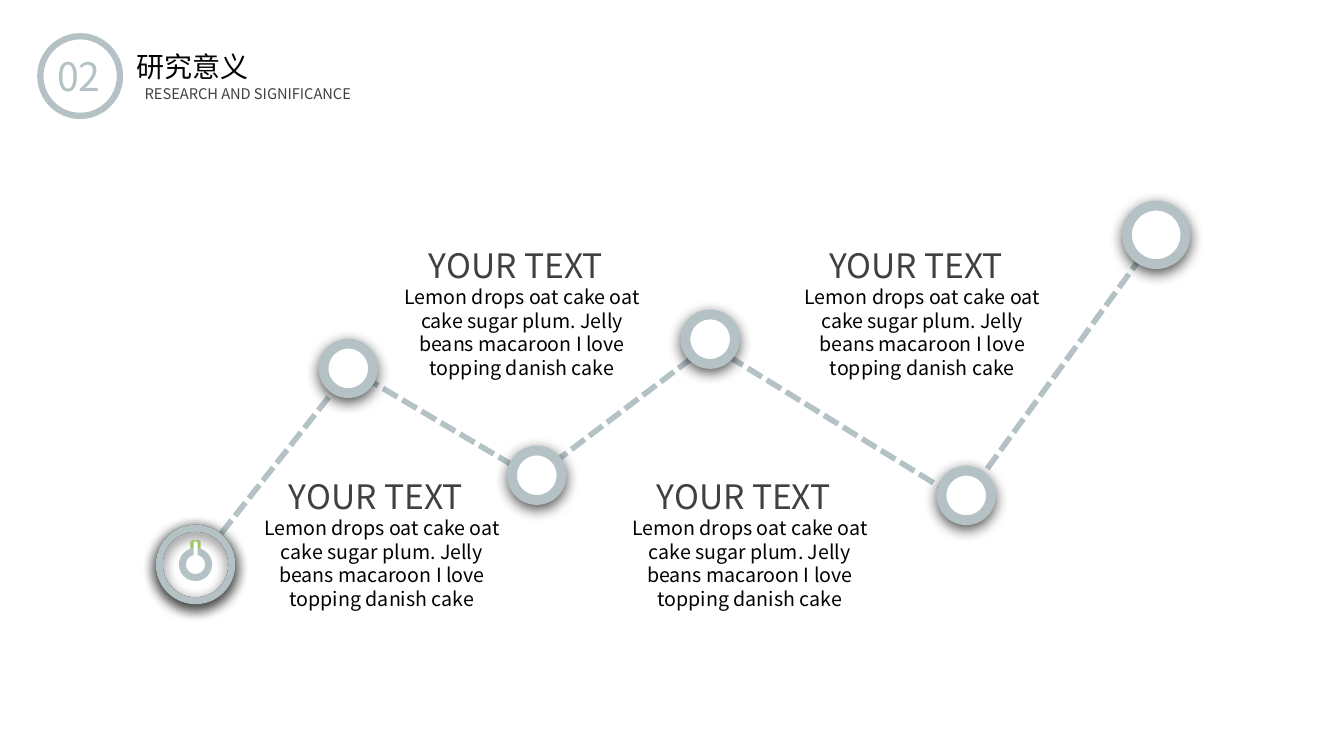
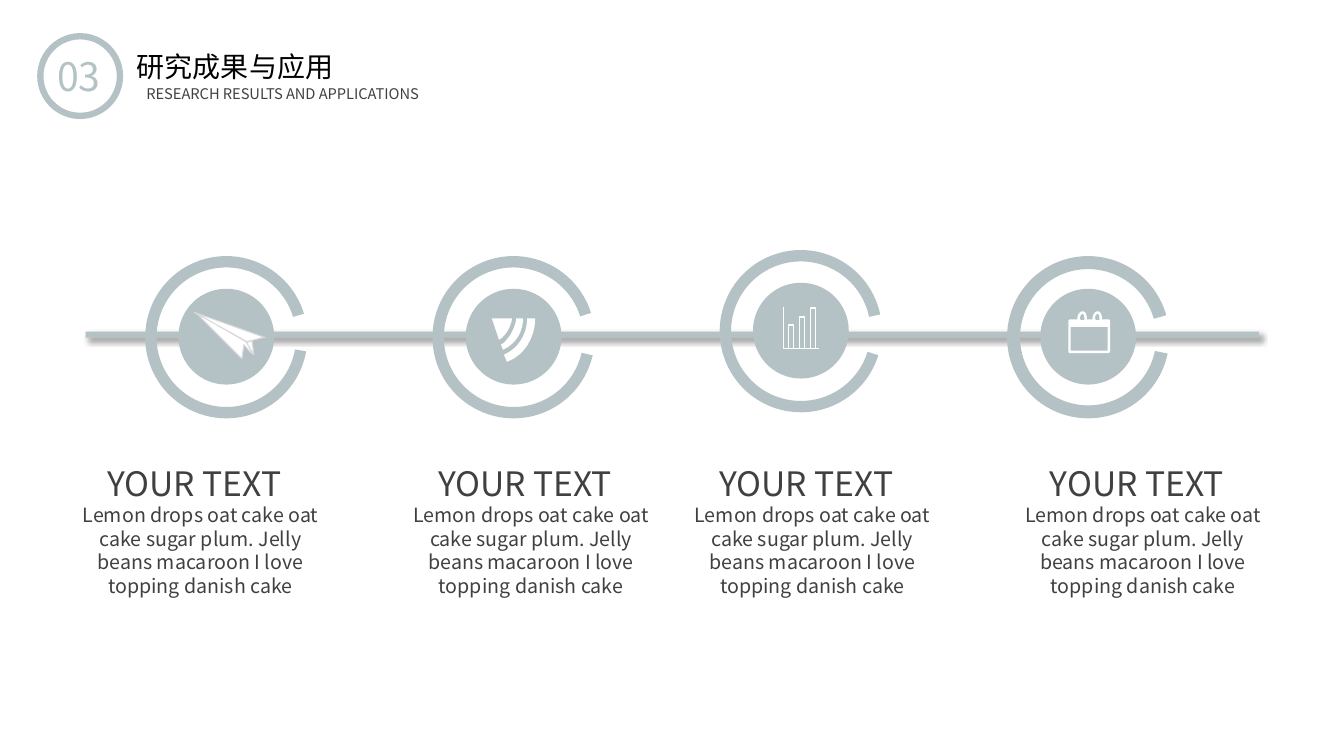
from lxml.etree import SubElement as Sub
from pptx import Presentation
from pptx.dml.color import RGBColor
from pptx.enum.dml import MSO_LINE as Dash
from pptx.enum.shapes import MSO_CONNECTOR as Link, MSO_SHAPE as Form
from pptx.enum.text import MSO_AUTO_SIZE as Fit, PP_ALIGN as Align
from pptx.oxml.ns import qn
from pptx.util import Inches, Pt

FONT = "Noto Sans CJK SC"
MIST, WHITE, BLACK, GREY = "B4C2C5", "FFFFFF", "000000", "404040"
BROWN, GREEN, PALE = "432E24", "9CC76D", "D9D9D9"
GLOW = (67, 10, 3, 90)
SOFT = (40, 4, 3, 45)
HEAD = "YOUR TEXT"
BODY = ("Lemon drops oat cake oat cake sugar plum. Jelly "
        "beans macaroon I love topping danish cake")


def cell(count):
    return int(Inches(0.1) * count)


def hue(code):
    return RGBColor.from_string(code)


def bend(start, one, two, end, steps=8):
    marks = []
    for step in range(1, steps + 1):
        t = step / steps
        u = 1 - t
        marks.append(tuple(u**3 * a + 3 * u * u * t * b + 3 * u * t * t * c + t**3 * d
                           for a, b, c, d in zip(start, one, two, end)))
    return marks


class Deck:
    def __init__(self):
        self.file = Presentation()
        self.file.slide_width = cell(133.33)
        self.file.slide_height = cell(75)

    def page(self, number, title, label, width):
        self.slide = self.file.slides.add_slide(self.file.slide_layouts[6])
        self.shapes = self.slide.shapes
        self.shape(Form.OVAL, 4, 3.6, 7.9, 7.9, line=(MIST, 4.5))
        self.text(4.7, 4.7, 6.6, 5.7, number, 28, MIST, wrap=False)
        self.text(12.6, 4.4, 38.3, 4.4, title, 20, BLACK)
        self.text(12.6, 7.9, width, 2.8, label, 10.5, GREY, Align.CENTER, wrap=False)

    def paint(self, item, fill=None, line=None, shade=None):
        item.shadow.inherit = False
        if fill:
            item.fill.solid()
            item.fill.fore_color.rgb = hue(fill)
        else:
            item.fill.background()
        if line:
            item.line.color.rgb = hue(line[0])
            item.line.width = Pt(line[1])
        else:
            item.line.fill.background()
        if shade:
            alpha, blur, far, angle = shade
            effect = item._element.spPr.find(qn("a:effectLst"))
            drop = Sub(effect, qn("a:outerShdw"), blurRad=str(Pt(blur)), dist=str(Pt(far)),
                       dir=str(angle * 60000), algn="ctr", rotWithShape="0")
            tint = Sub(drop, qn("a:srgbClr"), val=BLACK)
            Sub(tint, qn("a:alpha"), val=str(alpha * 1000))

    def shape(self, form, x, y, w, h, fill=None, line=None, shade=None, turn=0, bends=()):
        item = self.shapes.add_shape(form, cell(x), cell(y), cell(w), cell(h))
        item.rotation = turn
        for place, value in enumerate(bends):
            item.adjustments[place] = value
        self.paint(item, fill, line, shade)

    def trace(self, loops, fill=None, line=None):
        pen = None
        for loop in loops:
            first, *rest = [(cell(x), cell(y)) for x, y in loop]
            if pen:
                pen.move_to(*first)
            else:
                pen = self.shapes.build_freeform(*first)
            pen.add_line_segments(rest, close=True)
        self.paint(pen.convert_to_shape(), fill, line)

    def dash(self, *ends):
        item = self.shapes.add_connector(Link.STRAIGHT, *map(cell, ends))
        item.line.color.rgb = hue(MIST)
        item.line.width = Pt(4)
        item.line.dash_style = Dash.SQUARE_DOT
        Sub(item._element.spPr, qn("a:effectLst"))

    def text(self, x, y, w, h, words, size, color, align=Align.LEFT,
             wrap=True, grow=True, pad=(1, 0.5)):
        box = self.shapes.add_textbox(cell(x), cell(y), cell(w), cell(h))
        frame = box.text_frame
        frame.text = words
        frame.word_wrap = wrap
        frame.auto_size = Fit.SHAPE_TO_FIT_TEXT if grow else Fit.NONE
        frame.margin_left = frame.margin_right = cell(pad[0])
        frame.margin_top = frame.margin_bottom = cell(pad[1])
        lead = frame.paragraphs[0]
        lead.alignment = align
        for run in lead.runs:
            run.font.size = Pt(size)
            run.font.color.rgb = hue(color)
            run.font.name = FONT
            Sub(run._r.get_or_add_rPr(), qn("a:ea"), typeface=FONT)

    def note(self, x, y, color):
        self.text(x + 1.3, y, 21.8, 5, HEAD, 24, GREY, pad=(1.75, 0.5))
        self.text(x, y + 4.5, 24.6, 10.7, BODY, 14, color, Align.CENTER,
                  grow=False, pad=(0, 0))

    def node(self, x, y, size):
        self.shape(Form.OVAL, x, y, size, size, WHITE, (MIST, 7), GLOW)

    def power(self):
        for fill, color in ((WHITE, BROWN), (None, MIST)):
            self.shape(Form.OVAL, 15.8, 52.4, 7.2, 7.2, fill, (color, 5), GLOW)
        self.shape(Form.OVAL, 17.7, 54.2, 3.5, 3.5, WHITE)
        self.shape(Form.ROUNDED_RECTANGLE, 18.9, 53.6, 1, 2.4, GREEN)
        self.shape(Form.OVAL, 18.1, 54.7, 2.6, 2.6, WHITE, (MIST, 5))
        self.shape(Form.ROUNDED_RECTANGLE, 19.2, 53.7, 0.4, 2.5, WHITE, bends=(0.5,))

    def ring(self, x, y, turn, bends):
        self.shape(Form.BLOCK_ARC, x, y, 16.1, 16.1, MIST, turn=turn, bends=bends)
        self.shape(Form.OVAL, x + 3.3, y + 3.25, 9.5, 9.5, MIST)

    def plane(self):
        self.trace([[
            (19.3, 31), (26.3, 33.5), (26.1, 33.5), (24.5, 33.9), (19.3, 31),
            (19.7, 31.2), (24.4, 33.9), (25.1, 35.1), (25.2, 35.2), (24.4, 33.9),
            (24.5, 34), (25, 33.8), (25.2, 35.2), (25.1, 35.1), (24.9, 35),
            (24.2, 34.2), (24, 35.6), (19.4, 31)]], WHITE, (PALE, 0))

    def waves(self):
        self.trace([
            [(48.8, 31.6), (50.8, 31.6), (50.8, 31.7),
             *bend((50.8, 31.7), (50.6, 32.5), (50.3, 33.1), (49.7, 33.6)), (49.5, 33.7)],
            [(52.3, 31.6), (53.1, 31.6),
             *bend((53.1, 31.6), (53.1, 33.5), (52, 35.3), (50.3, 35.9)),
             (50, 35.2), (50.2, 35.1),
             *bend((50.2, 35.1), (51.4, 34.5), (52.2, 33.3), (52.3, 31.8))],
            [(51.2, 31.6), (51.9, 31.6), (51.9, 31.8),
             *bend((51.9, 31.8), (51.8, 33.1), (51.1, 34.1), (50.1, 34.6)),
             (49.9, 34.7), (49.7, 34.2), (50, 34),
             *bend((50, 34), (50.6, 33.4), (51, 32.7), (51.2, 31.8))]], WHITE)

    def bars(self):
        self.trace([[(77.7, 34.6), (81.2, 34.6), (77.7, 34.6), (77.7, 30.5)]],
                   line=(WHITE, 1))
        for x, tall in ((78.2, 2.3), (79.3, 3.1), (80.4, 4)):
            self.shape(Form.FLOWCHART_PROCESS, x, 34.55 - tall, 0.5, tall, line=(WHITE, 1))

    def dates(self):
        edge = [(106.1, 34.9), (106.1, 31.8)]
        for x in (107, 108.5):
            edge += [(x + 0.1, 31.8), (x, 31.6),
                     *bend((x, 31.6), (x, 31.3), (x + 0.2, 31), (x + 0.4, 31)),
                     *bend((x + 0.4, 31), (x + 0.6, 31), (x + 0.7, 31.3), (x + 0.7, 31.6)),
                     (x + 0.7, 31.8)]
        self.trace([edge + [(110, 31.8), (110, 34.9)]], line=(WHITE, 1.75))
        self.shape(Form.RECTANGLE, 106.2, 31.8, 3.8, 0.6, WHITE, (WHITE, 1))


def main():
    deck = Deck()

    deck.page("02", "研究意义", "RESEARCH AND SIGNIFICANCE", 24)
    for ends in ((114.6, 23.6, 95.9, 49.3), (70.4, 34.2, 95.2, 49.5),
                 (70.4, 34.2, 53.9, 46.7), (52.8, 47.3, 34.9, 36.7),
                 (19.2, 56.4, 34.5, 37)):
        deck.dash(*ends)
    deck.node(111.8, 20.4, 5.8)
    for x, y in ((93.4, 46.7), (68, 31.2), (50.8, 44.7), (32.1, 34.1)):
        deck.node(x, y, 4.9)
    deck.power()
    for x, y in ((25.6, 46.7), (62.1, 46.7), (39.5, 23.8), (79.2, 23.8)):
        deck.note(x, y, BLACK)

    deck.page("03", "研究成果与应用", "RESEARCH RESULTS AND APPLICATIONS", 30.9)
    deck.shape(Form.RECTANGLE, 8.5, 32.9, 116.4, 0.6, MIST, shade=SOFT)
    rings = ((25.4, 225.7, (86.63, 70.46, 0.07), deck.plane),
             (25.4, 224.9, (88.81, 70.61, 0.07), deck.waves),
             (24.8, 224.7, (91.49, 74.06, 0.07), deck.bars),
             (25.4, 222.2, (89.65, 73.24, 0.08), deck.dates))
    for place, (y, turn, bends, icon) in enumerate(rings):
        deck.ring(14.4 + 28.5 * place, y, turn, bends)
        icon()
    for x in (7.6, 40.4, 68.3, 101.1):
        deck.note(x, 45.4, GREY)

    deck.file.save("out.pptx")


if __name__ == "__main__":
    main()
